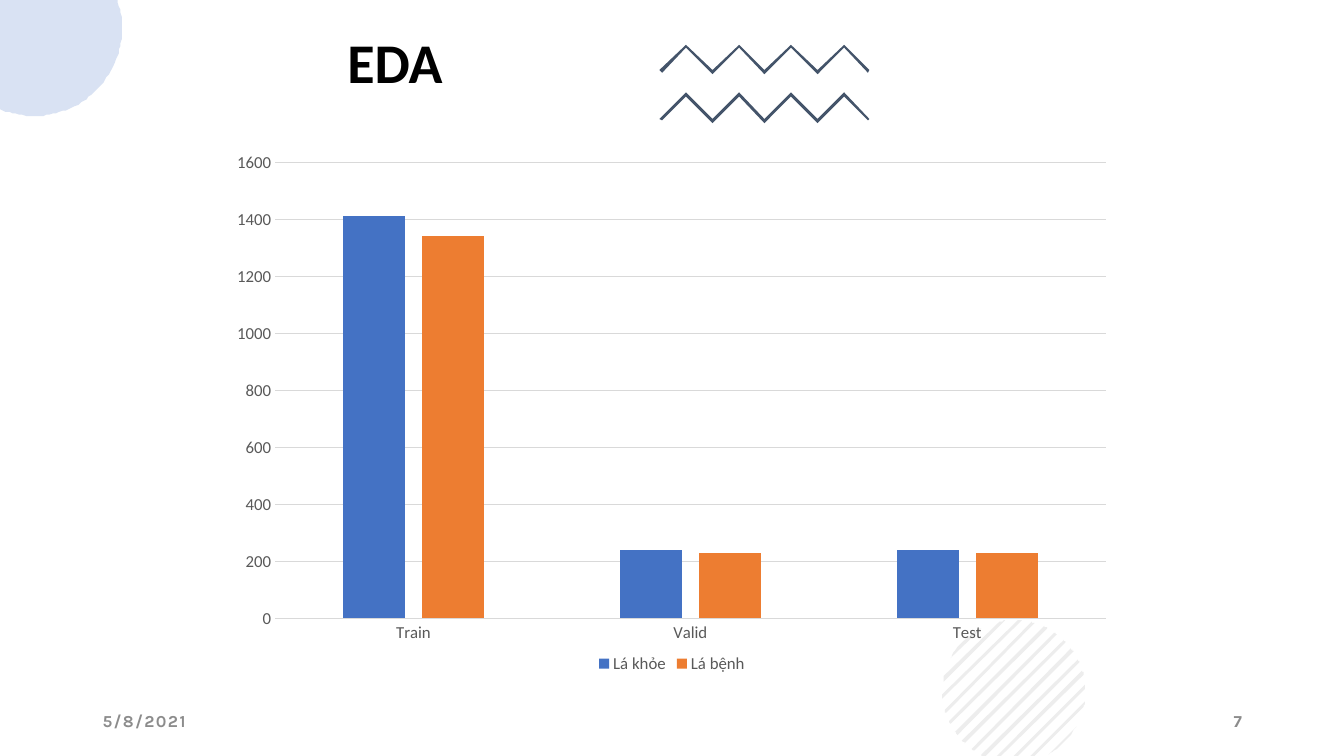
import math

import lxml.etree
import pptx
import pptx.chart.data
import pptx.dml.color
import pptx.enum.chart
import pptx.enum.text
import pptx.oxml
import pptx.oxml.ns
import pptx.util

Pt = pptx.util.Pt
qn = pptx.oxml.ns.qn
Align = pptx.enum.text.PP_ALIGN
Anchor = pptx.enum.text.MSO_ANCHOR

COLORS = {
    "black": "000000",
    "slate": "44546A",
    "blue": "4472C4",
    "orange": "ED7D31",
    "gray": "A5A5A5",
    "footer": "8C8C8C",
    "label": "595959",
    "grid": "D9D9D9",
}


def rgb(name):
    return pptx.dml.color.RGBColor.from_string(COLORS[name])


def add_outline(slide, points, color, opacity=100):
    builder = slide.shapes.build_freeform(*points[0], scale=Pt(1))
    builder.add_line_segments(points[1:], close=True)
    shape = builder.convert_to_shape()
    shape.shadow.inherit = False
    shape.line.fill.background()
    shape.fill.solid()
    shape.fill.fore_color.rgb = rgb(color)
    if opacity < 100:
        fill_color = shape.fill._xPr.find(qn("a:solidFill"))[0]
        alpha = lxml.etree.SubElement(fill_color, qn("a:alpha"))
        alpha.set("val", str(opacity * 1000))


def add_zigzag(slide, top):
    left, step, height, thickness, cap = 471.2, 18.77, 18.8, 2.9, 1.6
    upper = [(left + step * i, top + height * (1 - i % 2)) for i in range(9)]
    lower = [(x, y + thickness) for x, y in reversed(upper[1:-1])]
    first, last = upper[0], upper[-1]
    right_cap = (last[0] - cap, last[1] + cap)
    left_cap = (first[0] + cap, first[1] + cap)
    add_outline(slide, upper + [right_cap] + lower + [left_cap], "slate")


def add_corner_circle(slide):
    center_x, center_y, radius = 24.5, 20.2, 62.6
    start = math.asin(-center_y / radius)
    end = math.acos(-center_x / radius)
    angles = [start + (end - start) * i / 60 for i in range(61)]
    arc = [(center_x + radius * math.cos(angle), center_y + radius * math.sin(angle))
           for angle in angles]
    add_outline(slide, [(0, 0)] + arc, "blue", 20)


def add_striped_circle(slide):
    center_x, center_y, radius = 724.3, 493.9, 51.1
    pitch, thickness, bottom, samples = 8.35, 2.3, 540, 6
    for stripe in range(13):
        upper_ends, lower_ends = [], []
        for sample in range(samples + 1):
            offset = min(radius, stripe * pitch + thickness * sample / samples - radius)
            half = math.sqrt(radius ** 2 - offset ** 2)
            x = center_x + (offset - half) / math.sqrt(2)
            y = center_y + (offset + half) / math.sqrt(2)
            overshoot = max(0, y - bottom)
            lower_ends.append((x + overshoot, y - overshoot))
            upper_ends.append((center_x + (offset + half) / math.sqrt(2),
                               center_y + (offset - half) / math.sqrt(2)))
        add_outline(slide, upper_ends + lower_ends[::-1], "gray", 20)


def add_text(slide, frame, text, size, font, color, align, anchor, tracking=0):
    box = slide.shapes.add_textbox(*map(Pt, frame))
    box.text_frame.word_wrap = True
    box.text_frame.vertical_anchor = anchor
    box.text_frame.text = text
    para = box.text_frame.paragraphs[0]
    para.alignment = align
    span = para.runs[0]
    span.font.size = Pt(size)
    span.font.name = font
    span.font.bold = True
    span.font.color.rgb = rgb(color)
    if tracking:
        span.font._element.set("spc", str(tracking * 100))
    return para


def style_font(font):
    font.name = "Calibri"
    font.size = Pt(12)
    font.color.rgb = rgb("label")


def style_line(line):
    line.color.rgb = rgb("grid")
    line.width = Pt(0.75)


def set_plot_layout(chart, x, y, width, height):
    plot_area = chart._chartSpace.chart.plotArea
    for old in plot_area.findall(qn("c:layout")):
        plot_area.remove(old)
    layout = lxml.etree.Element(qn("c:layout"))
    manual = lxml.etree.SubElement(layout, qn("c:manualLayout"))
    values = [("layoutTarget", "inner"), ("xMode", "edge"), ("yMode", "edge"),
              ("x", x), ("y", y), ("w", width), ("h", height)]
    for tag, value in values:
        lxml.etree.SubElement(manual, qn("c:" + tag)).set("val", str(value))
    plot_area.insert(0, layout)


def add_leaf_chart(slide):
    data = pptx.chart.data.CategoryChartData()
    data.categories = ["Train", "Valid", "Test"]
    data.add_series("Lá khỏe", [1410, 240, 240])
    data.add_series("Lá bệnh", [1340, 230, 230])
    chart = slide.shapes.add_chart(
        pptx.enum.chart.XL_CHART_TYPE.COLUMN_CLUSTERED,
        Pt(160), Pt(57), Pt(640), Pt(427), data).chart
    chart.has_title = False
    style_font(chart.font)
    set_plot_layout(chart, 0.057, 0.138, 0.927, 0.763)

    plot = chart.plots[0]
    plot.gap_width = 219
    plot.overlap = -27
    plot.vary_by_categories = False
    for series, color in zip(plot.series, ["blue", "orange"]):
        series.format.fill.solid()
        series.format.fill.fore_color.rgb = rgb(color)

    for axis in (chart.category_axis, chart.value_axis):
        axis.major_tick_mark = pptx.enum.chart.XL_TICK_MARK.NONE
        axis.minor_tick_mark = pptx.enum.chart.XL_TICK_MARK.NONE
        style_font(axis.tick_labels.font)
    style_line(chart.category_axis.format.line)
    values = chart.value_axis
    values.minimum_scale = 0
    values.maximum_scale = 1600
    values.major_unit = 200
    values.format.line.fill.background()
    style_line(values.major_gridlines.format.line)

    chart.has_legend = True
    chart.legend.position = pptx.enum.chart.XL_LEGEND_POSITION.BOTTOM
    chart.legend.include_in_layout = False
    style_font(chart.legend.font)


def main():
    deck = pptx.Presentation()
    deck.slide_width, deck.slide_height = Pt(960), Pt(540)
    page = deck.slides.add_slide(deck.slide_layouts[6])
    for top in (31.6, 65.8):
        add_zigzag(page, top)
    add_striped_circle(page)
    add_corner_circle(page)
    title = add_text(page, (116.6, 43.2, 331.2, 28.8), "EDA", 40, "Calibri",
                     "black", Align.CENTER, Anchor.BOTTOM)
    title.line_spacing = 0.9
    add_text(page, (66.2, 500.4, 216, 28.8), "5/8/2021", 12, "Karla",
             "footer", Align.LEFT, Anchor.MIDDLE, tracking=1)
    add_text(page, (678.2, 500.4, 216, 28.8), "7", 12, "Karla",
             "footer", Align.RIGHT, Anchor.MIDDLE, tracking=1)
    add_leaf_chart(page)
    deck.save("out.pptx")


if __name__ == "__main__":
    main()
